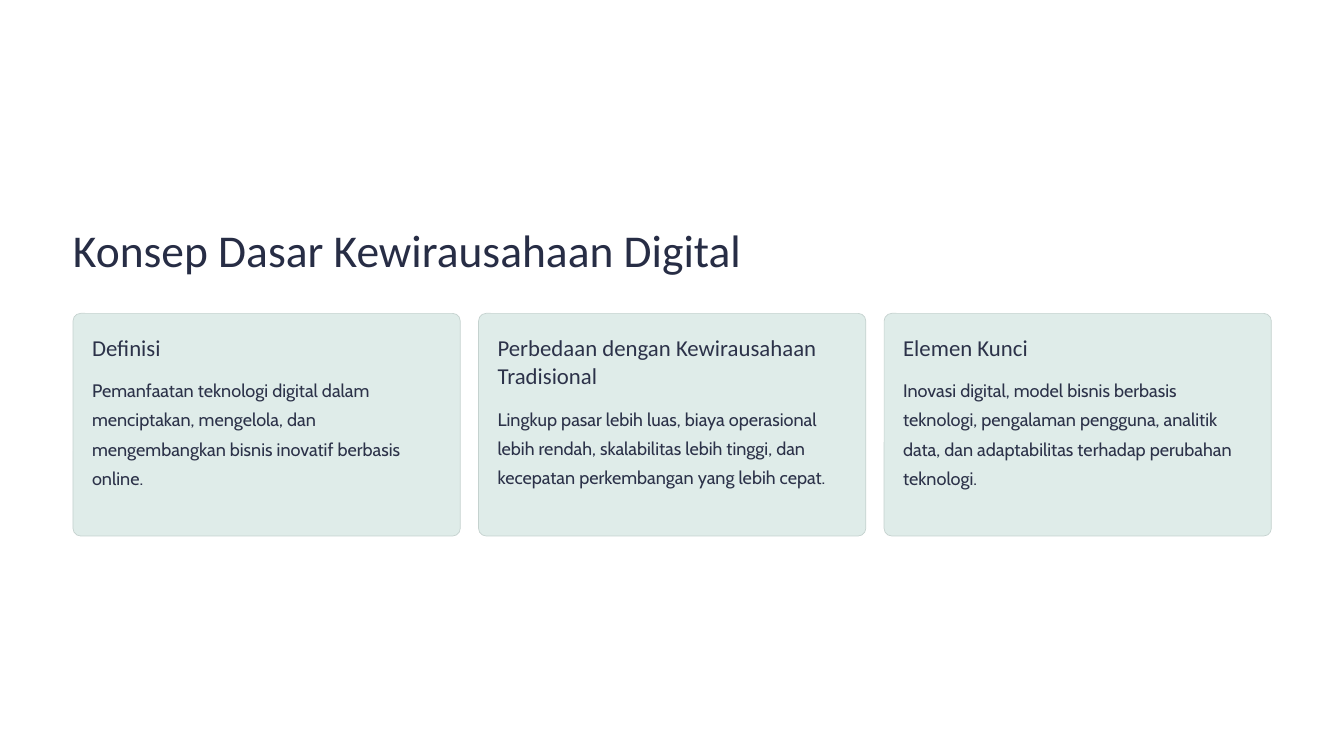
"""Build a slide on the basic concepts of digital entrepreneurship with three cards."""
import pptx
import pptx.dml.color
import pptx.enum.shapes
import pptx.util

Pt = pptx.util.Pt
RGBColor = pptx.dml.color.RGBColor

WHITE = RGBColor(0xFF, 0xFF, 0xFF)
NAVY = RGBColor(0x27, 0x2D, 0x45)
SLATE = RGBColor(0x2C, 0x32, 0x49)
MINT = RGBColor(0xDF, 0xEC, 0xE9)
SAGE = RGBColor(0xC5, 0xD2, 0xCF)

LEFT = 62.6
CARD_TOP, CARD_WIDTH, CARD_HEIGHT = 268.6, 331.9, 190.8
CARD_PITCH = 347.6
PADDING = 16.3
HEADING_TOP, HEADING_LINE = 285.1, 24.4
BODY_GAP = 9.5

CARDS = [
    ("Definisi", 1,
     "Pemanfaatan teknologi digital dalam menciptakan, mengelola, dan "
     "mengembangkan bisnis inovatif berbasis online."),
    ("Perbedaan dengan Kewirausahaan Tradisional", 2,
     "Lingkup pasar lebih luas, biaya operasional lebih rendah, skalabilitas "
     "lebih tinggi, dan kecepatan perkembangan yang lebih cepat."),
    ("Elemen Kunci", 1,
     "Inovasi digital, model bisnis berbasis teknologi, pengalaman pengguna, "
     "analitik data, dan adaptabilitas terhadap perubahan teknologi."),
]

deck = pptx.Presentation()
deck.slide_width, deck.slide_height = Pt(1152), Pt(648)
slide = deck.slides.add_slide(deck.slide_layouts[6])
slide.background.fill.solid()
slide.background.fill.fore_color.rgb = WHITE


def add_text(text, left, top, width, height, font, size, spacing, color, wrap=True):
    frame = slide.shapes.add_textbox(Pt(left), Pt(top), Pt(width), Pt(height)).text_frame
    frame.margin_left = frame.margin_right = frame.margin_top = frame.margin_bottom = 0
    frame.word_wrap = wrap
    paragraph = frame.paragraphs[0]
    paragraph.line_spacing = Pt(spacing)
    run = paragraph.add_run()
    run.text = text
    run.font.name = font
    run.font.size = Pt(size)
    run.font.color.rgb = color


add_text("Konsep Dasar Kewirausahaan Digital", LEFT, 188.6, 620, 49,
         "Calibri", 39, 48.5, NAVY, wrap=False)

for index, (heading, heading_lines, body) in enumerate(CARDS):
    card_left = LEFT + index * CARD_PITCH
    card = slide.shapes.add_shape(
        pptx.enum.shapes.MSO_SHAPE.ROUNDED_RECTANGLE,
        Pt(card_left), Pt(CARD_TOP), Pt(CARD_WIDTH), Pt(CARD_HEIGHT))
    card.adjustments[0] = 0.034
    card.shadow.inherit = False
    card.fill.solid()
    card.fill.fore_color.rgb = MINT
    card.line.color.rgb = SAGE
    card.line.width = Pt(0.6)

    text_left = card_left + PADDING
    text_width = CARD_WIDTH - 2 * PADDING
    heading_height = heading_lines * HEADING_LINE
    add_text(heading, text_left, HEADING_TOP, text_width, heading_height,
             "Calibri", 19.5, 24, SLATE)
    add_text(body, text_left, HEADING_TOP + heading_height + BODY_GAP, text_width, 100,
             "Cabin", 15.5, 25, SLATE)

deck.save("out.pptx")
